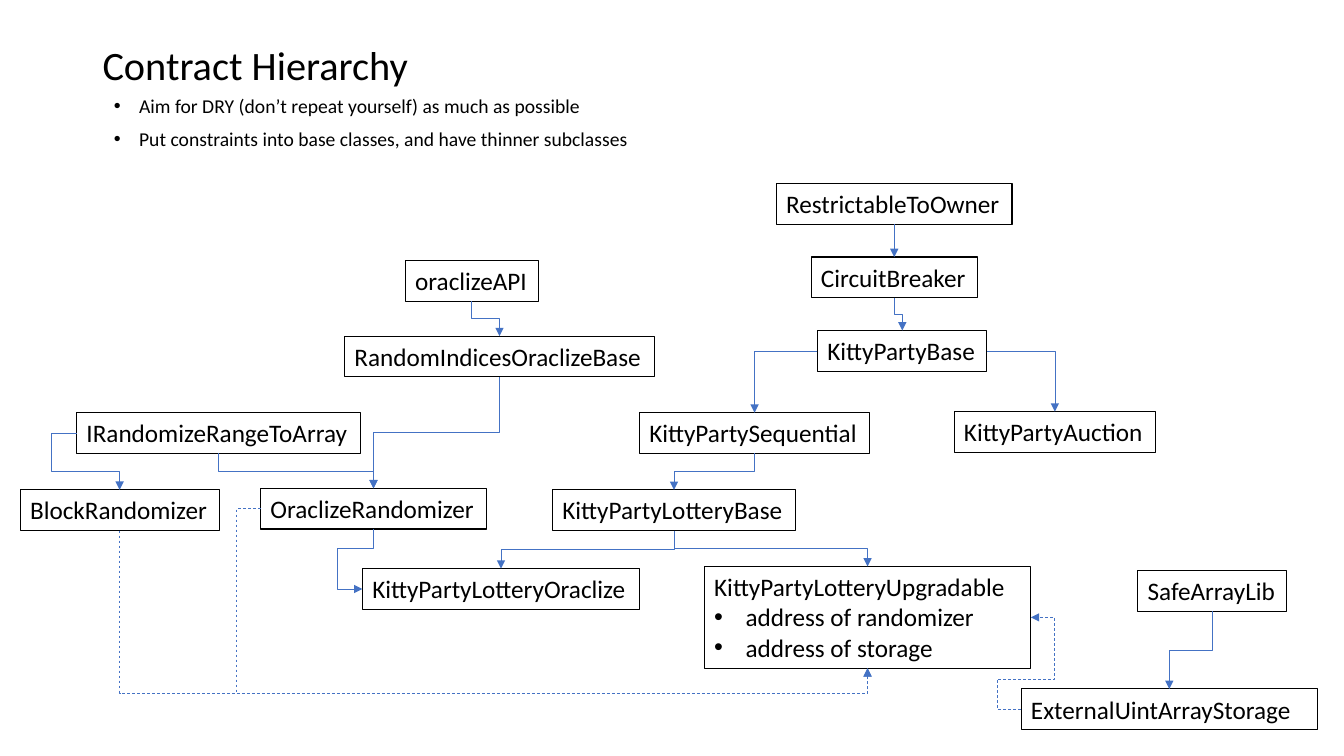
"""Build the contract hierarchy slide: class boxes joined by elbow arrows."""
import dataclasses
import enum

import lxml.etree
import pptx
import pptx.dml.color
import pptx.enum.dml
import pptx.enum.shapes
import pptx.enum.text
import pptx.oxml.ns
import pptx.util

COLUMNS, ROWS = 133.33, 75
CELL = pptx.util.Inches(0.1)
BOX_ROWS = 4.04
BLACK = pptx.dml.color.RGBColor(0x00, 0x00, 0x00)
BLUE = pptx.dml.color.RGBColor(0x44, 0x72, 0xC4)
FONT = "Calibri"
TITLE = "Contract Hierarchy"
GUIDELINES = (
    "Aim for DRY (don’t repeat yourself) as much as possible",
    "Put constraints into base classes, and have thinner subclasses",
)


class Side(enum.IntEnum):
    TOP = 0
    LEFT = 1
    BOTTOM = 2
    RIGHT = 3


@dataclasses.dataclass(frozen=True)
class ContractBox:
    name: str
    column: float
    row: float
    columns: float
    rows: float = BOX_ROWS
    fields: tuple[str, ...] = ()
    wrap: bool = False


@dataclasses.dataclass(frozen=True)
class Arrow:
    parent: str
    child: str
    leave: Side = Side.BOTTOM
    arrive: Side = Side.TOP
    bends: tuple[float, ...] = (0.5,)
    dashed: bool = False


BOXES = (
    ContractBox("RestrictableToOwner", 77, 18.22, 23.4),
    ContractBox("CircuitBreaker", 80.46, 25.5, 16.5),
    ContractBox("KittyPartyBase", 81.1, 32.8, 16.82),
    ContractBox("KittyPartySequential", 63.43, 40.95, 22.86),
    ContractBox("KittyPartyAuction", 94.65, 40.84, 20),
    ContractBox("KittyPartyLotteryBase", 54.8, 48.6, 24.13),
    ContractBox("KittyPartyLotteryOraclize", 35.95, 56.41, 27.5),
    ContractBox("KittyPartyLotteryUpgradable", 69.87, 56.2, 32.4, 10.1,
                ("address of randomizer", "address of storage"), True),
    ContractBox("oraclizeAPI", 40.2, 25.84, 13.2),
    ContractBox("RandomIndicesOraclizeBase", 34.17, 33.35, 30.75),
    ContractBox("IRandomizeRangeToArray", 7.6, 40.95, 28.15),
    ContractBox("OraclizeRandomizer", 25.85, 48.45, 22.4),
    ContractBox("BlockRandomizer", 2, 48.6, 19.75),
    ContractBox("SafeArrayLib", 112.86, 56.62, 14.8),
    ContractBox("ExternalUintArrayStorage", 101.3, 68.35, 29.4, wrap=True),
)

ARROWS = (
    Arrow("RestrictableToOwner", "CircuitBreaker"),
    Arrow("CircuitBreaker", "KittyPartyBase"),
    Arrow("KittyPartyBase", "KittyPartyAuction", Side.RIGHT, bends=()),
    Arrow("KittyPartyBase", "KittyPartySequential", Side.LEFT, bends=()),
    Arrow("KittyPartySequential", "KittyPartyLotteryBase"),
    Arrow("KittyPartyLotteryBase", "KittyPartyLotteryOraclize"),
    Arrow("KittyPartyLotteryBase", "KittyPartyLotteryUpgradable"),
    Arrow("oraclizeAPI", "RandomIndicesOraclizeBase"),
    Arrow("RandomIndicesOraclizeBase", "OraclizeRandomizer"),
    Arrow("IRandomizeRangeToArray", "OraclizeRandomizer"),
    Arrow("IRandomizeRangeToArray", "BlockRandomizer", Side.LEFT, bends=(-0.58, 0.68)),
    Arrow("OraclizeRandomizer", "KittyPartyLotteryOraclize",
          arrive=Side.LEFT, bends=(0.33, 3.3)),
    Arrow("BlockRandomizer", "KittyPartyLotteryUpgradable",
          arrive=Side.BOTTOM, bends=(1.18,), dashed=True),
    Arrow("OraclizeRandomizer", "KittyPartyLotteryUpgradable",
          Side.LEFT, Side.BOTTOM, (-0.04, 1.16), True),
    Arrow("SafeArrayLib", "ExternalUintArrayStorage"),
    Arrow("ExternalUintArrayStorage", "KittyPartyLotteryUpgradable",
          Side.LEFT, Side.RIGHT, (-2.45, 0.33, 3.45), True),
)


def cells(count: float) -> pptx.util.Emu:
    return pptx.util.Emu(round(count * CELL))


def add_element(parent, tag: str, **attributes: str) -> None:
    element = lxml.etree.SubElement(parent, pptx.oxml.ns.qn(tag))
    for name, value in attributes.items():
        element.set(name, value)


def place(shape, column: float, row: float, columns: float, rows: float) -> None:
    shape.left, shape.top = cells(column), cells(row)
    shape.width, shape.height = cells(columns), cells(rows)


def add_bullet(paragraph, indent: float) -> None:
    properties = paragraph._p.get_or_add_pPr()
    properties.set("marL", str(cells(indent)))
    properties.set("indent", str(-cells(indent)))
    add_element(properties, "a:buFont", typeface="Arial")
    add_element(properties, "a:buChar", char="•")


def format_font(paragraph, size: float) -> None:
    paragraph.font.name = FONT
    paragraph.font.size = pptx.util.Pt(size)
    paragraph.font.color.rgb = BLACK


def fill_placeholders(slide) -> None:
    title, body = slide.placeholders
    place(title, 9.17, 4, 115, 5.4)
    place(body, 10.3, 9.3, 115, 6.5)
    for placeholder, text in ((title, TITLE), (body, "\n".join(GUIDELINES))):
        placeholder.text_frame.text = text
        placeholder.text_frame.auto_size = pptx.enum.text.MSO_AUTO_SIZE.NONE
    title.text_frame.vertical_anchor = pptx.enum.text.MSO_ANCHOR.MIDDLE
    heading = title.text_frame.paragraphs[0]
    heading.alignment = pptx.enum.text.PP_ALIGN.LEFT
    heading.line_spacing = 0.9
    format_font(heading, 28.8)
    for paragraph in body.text_frame.paragraphs:
        add_bullet(paragraph, 2.5)
        paragraph.line_spacing = 0.8
        paragraph.space_before = pptx.util.Pt(10)
        format_font(paragraph, 14)


def draw_box(slide, box: ContractBox):
    shape = slide.shapes.add_textbox(0, 0, 0, 0)
    place(shape, box.column, box.row, box.columns, box.rows)
    shape.line.color.rgb = BLACK
    shape.line.width = pptx.util.Pt(0.75)
    frame = shape.text_frame
    frame.text = "\n".join((box.name, *box.fields))
    frame.word_wrap = box.wrap
    frame.auto_size = pptx.enum.text.MSO_AUTO_SIZE.SHAPE_TO_FIT_TEXT
    for index, paragraph in enumerate(frame.paragraphs):
        if index:
            add_bullet(paragraph, 3.12)
        format_font(paragraph, 18)
    return shape


def anchor(shape, side: Side) -> tuple[float, float]:
    across = {Side.LEFT: 0, Side.RIGHT: 1}.get(side, 0.5)
    down = {Side.TOP: 0, Side.BOTTOM: 1}.get(side, 0.5)
    return shape.left + across * shape.width, shape.top + down * shape.height


def draw_arrow(slide, arrow: Arrow, shapes: dict) -> None:
    parent, child = shapes[arrow.parent], shapes[arrow.child]
    (start_x, start_y), (end_x, end_y) = anchor(parent, arrow.leave), anchor(child, arrow.arrive)
    run, drop = end_x - start_x, end_y - start_y
    width, height = abs(run), abs(drop)
    if arrow.leave is Side.BOTTOM:
        width, height = height, width
        rotation, flip_h, flip_v = (270, True, False) if run > 0 else (90, False, False)
    elif arrow.leave is Side.LEFT:
        rotation, flip_h, flip_v = 180, run > 0, drop > 0
    else:
        rotation, flip_h, flip_v = 0, run < 0, drop < 0

    connector = slide.shapes.add_connector(pptx.enum.shapes.MSO_CONNECTOR.ELBOW, 0, 0, 0, 0)
    connector.begin_connect(parent, int(arrow.leave))
    connector.end_connect(child, int(arrow.arrive))
    connector.left = round((start_x + end_x - width) / 2)
    connector.top = round((start_y + end_y - height) / 2)
    connector.width, connector.height = round(width), round(height)
    properties = connector._element.spPr
    transform = properties.find(pptx.oxml.ns.qn("a:xfrm"))
    transform.set("rot", str(rotation * 60000))
    transform.set("flipH", str(int(flip_h)))
    transform.set("flipV", str(int(flip_v)))
    geometry = properties.find(pptx.oxml.ns.qn("a:prstGeom"))
    geometry.set("prst", f"bentConnector{len(arrow.bends) + 2}")
    for number, share in enumerate(arrow.bends, 1):
        add_element(geometry[0], "a:gd", name=f"adj{number}", fmla=f"val {round(share * 100000)}")

    connector.line.color.rgb = BLUE
    connector.line.width = pptx.util.Pt(0.5)
    if arrow.dashed:
        connector.line.dash_style = pptx.enum.dml.MSO_LINE.DASH
    add_element(properties.find(pptx.oxml.ns.qn("a:ln")), "a:tailEnd", type="triangle")
    add_element(properties, "a:effectLst")


def main() -> None:
    presentation = pptx.Presentation()
    presentation.slide_width, presentation.slide_height = cells(COLUMNS), cells(ROWS)
    slide = presentation.slides.add_slide(presentation.slide_layouts[1])
    fill_placeholders(slide)
    shapes = {box.name: draw_box(slide, box) for box in BOXES}
    for arrow in ARROWS:
        draw_arrow(slide, arrow, shapes)
    presentation.save("out.pptx")


if __name__ == "__main__":
    main()
